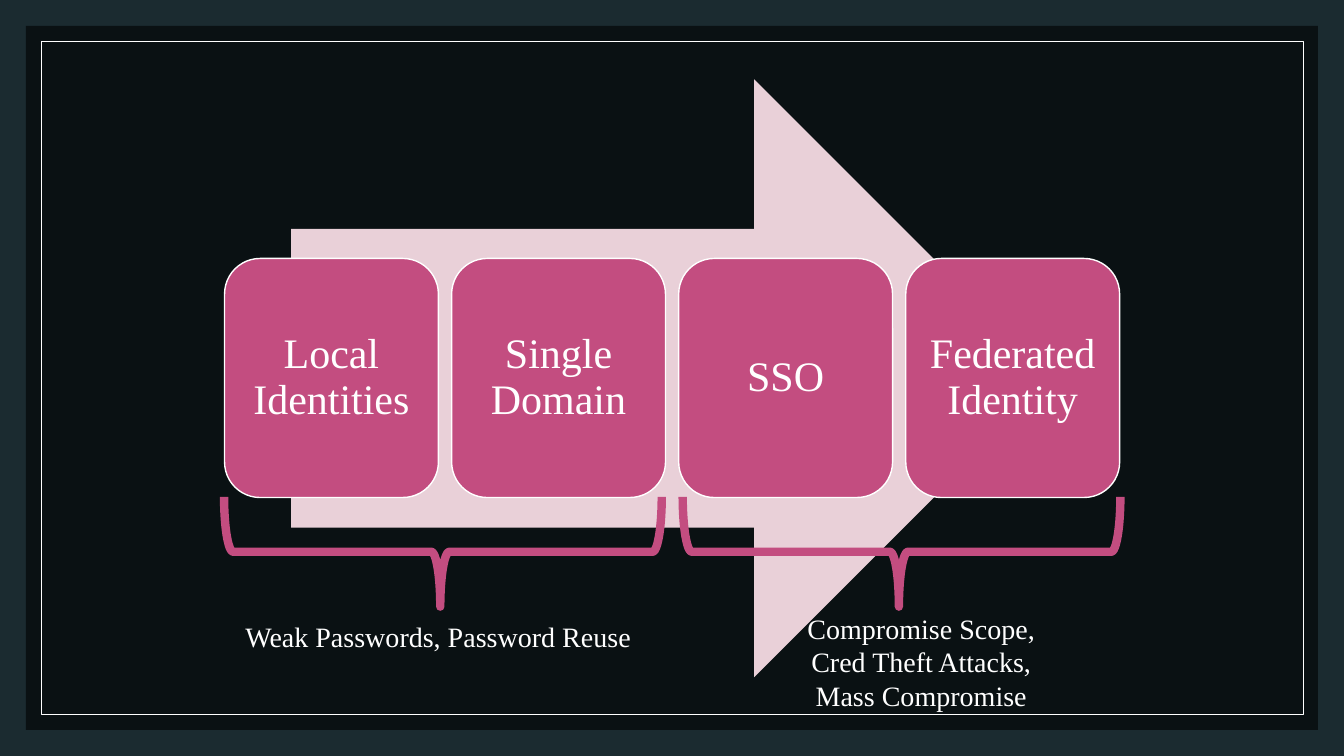
from typing import NamedTuple

from lxml import etree
from pptx import Presentation
from pptx.dml.color import RGBColor
from pptx.enum.shapes import MSO_SHAPE
from pptx.enum.text import MSO_ANCHOR, PP_ALIGN
from pptx.oxml.ns import qn
from pptx.shapes.autoshape import Shape
from pptx.text.text import TextFrame
from pptx.util import Pt

RECT = MSO_SHAPE.RECTANGLE
ROUND = MSO_SHAPE.ROUNDED_RECTANGLE
ARROW = MSO_SHAPE.RIGHT_ARROW
BRACE = MSO_SHAPE.LEFT_BRACE
MIDDLE = MSO_ANCHOR.MIDDLE
CENTER = PP_ALIGN.CENTER

FONT = "Times New Roman"
WHITE, PINK, PALE = "FFFFFF", "C34D80", "E9D0D8"
BLACK, SLATE = "000000", "1B2B30"


class Area(NamedTuple):
    left: float
    top: float
    width: float
    height: float


class Risk(NamedTuple):
    brace: Area
    label: Area
    lines: list[str]


STAGES = ["Local Identities", "Single Domain", "SSO", "Federated Identity"]
FIRST = Area(160.4, 184.6, 152.8, 170.8)
STEP = 162.2

RISKS = [
    Risk(Area(277.2, 237.8, 78.4, 312.6), Area(160, 439.2, 306, 31.6),
         ["Weak Passwords, Password Reuse"]),
    Risk(Area(604.8, 237.8, 78.4, 312.6), Area(522.7, 432.9, 270.7, 80),
         ["Compromise Scope,", "Cred Theft Attacks,", "Mass Compromise"]),
]


def color(code: str) -> RGBColor:
    return RGBColor.from_string(code)


def points(area: Area) -> list[Pt]:
    return [Pt(side) for side in area]


def draw(slide, kind: MSO_SHAPE, area: Area, fill: str = "",
         line: str = "", weight: float = 1) -> Shape:
    shape = slide.shapes.add_shape(kind, *points(area))
    shape.shadow.inherit = False
    if fill:
        shape.fill.solid()
        shape.fill.fore_color.rgb = color(fill)
    else:
        shape.fill.background()
    if line:
        shape.line.color.rgb = color(line)
        shape.line.width = Pt(weight)
    else:
        shape.line.fill.background()
    return shape


def write(frame: TextFrame, lines: list[str], size: float,
          spacing: float = 1) -> None:
    frame.word_wrap = True
    frame.text = "\n".join(lines)
    for para in frame.paragraphs:
        para.alignment = CENTER
        para.line_spacing = spacing
        para.font.name = FONT
        para.font.size = Pt(size)
        para.font.color.rgb = color(WHITE)


def add_stage(slide, area: Area, name: str) -> None:
    frame = draw(slide, ROUND, area, PINK, WHITE).text_frame
    frame.vertical_anchor = MIDDLE
    frame.margin_left = frame.margin_right = Pt(8.4)
    frame.margin_top = frame.margin_bottom = Pt(8.4)
    write(frame, [name], 30, 0.9)


def add_risk(slide, risk: Risk) -> None:
    brace = draw(slide, BRACE, risk.brace, line=PINK, weight=6)
    brace.rotation = 270
    brace.adjustments[0] = 0.083
    brace.adjustments[1] = 0.494
    label = slide.shapes.add_textbox(*points(risk.label))
    write(label.text_frame, risk.lines, 20)


def main() -> None:
    deck = Presentation()
    deck.slide_width, deck.slide_height = Pt(960), Pt(540)
    slide = deck.slides.add_slide(deck.slide_layouts[6])

    # Backdrop: dark translucent panel and thin frame
    slide.background.fill.solid()
    slide.background.fill.fore_color.rgb = color(SLATE)
    panel = draw(slide, RECT, Area(18.6, 18.6, 922.8, 502.8), BLACK)
    tint = panel.fill._xPr.find(f".//{qn('a:srgbClr')}")
    etree.SubElement(tint, qn("a:alpha"), val="60000")
    draw(slide, RECT, Area(29.4, 29.4, 901.4, 481), line=WHITE, weight=0.5)

    # Arrow with the stages of identity
    draw(slide, ARROW, Area(208, 56.7, 544.2, 427), PALE)
    for i, name in enumerate(STAGES):
        add_stage(slide, FIRST._replace(left=FIRST.left + i * STEP), name)

    # Braces with the risks of each pair
    for risk in RISKS:
        add_risk(slide, risk)

    deck.save("out.pptx")


if __name__ == "__main__":
    main()
